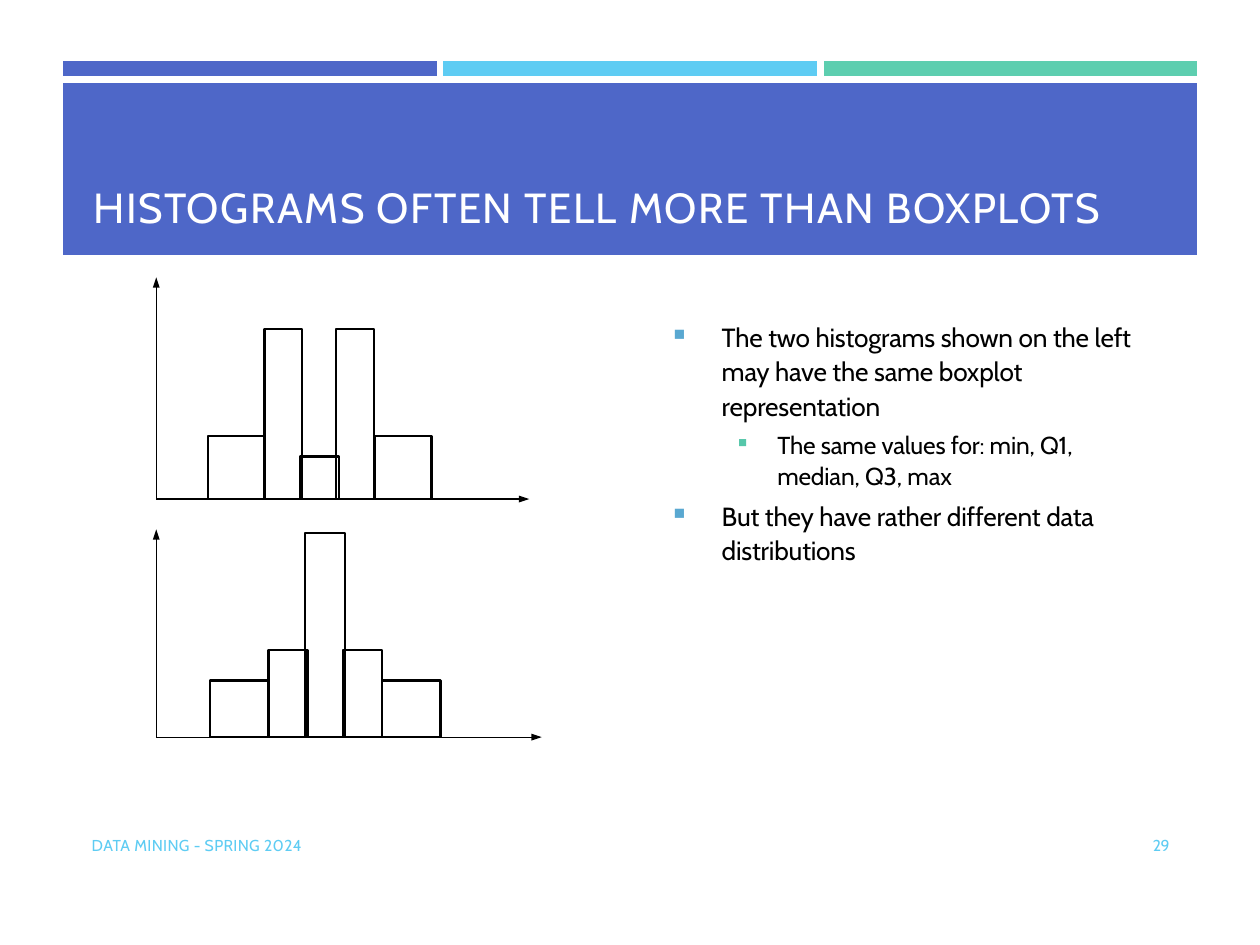
from dataclasses import dataclass

import lxml.etree
import pptx
import pptx.dml.color
import pptx.enum.shapes
import pptx.enum.text
import pptx.oxml.ns
import pptx.util

Cm = pptx.util.Cm
Pt = pptx.util.Pt
qn = pptx.oxml.ns.qn


@dataclass(frozen=True)
class Theme:
    font: str = "Cabin"
    ink: str = "000000"
    paper: str = "FFFFFF"
    indigo: str = "4E67C8"
    sky: str = "5ECCF3"
    mint: str = "5DCEAF"
    bullet: str = "59A8D1"
    sub_bullet: str = "56C7AA"
    title_size: float = 24
    body_size: float = 15
    sub_size: float = 14
    footer_size: float = 9
    gap_width: float = 4.5
    axis_width: float = 0.7
    bar_width: float = 1.35


@dataclass(frozen=True)
class Bar:
    left: float
    width: float
    height: float


@dataclass(frozen=True)
class Histogram:
    top: float
    base: float
    right: float
    bars: tuple[Bar, ...]


@dataclass(frozen=True)
class Point:
    text: str
    level: int
    before: float
    spacing: float


@dataclass(frozen=True)
class BulletStyle:
    margin: float
    indent: float
    color: str
    percent: int
    size: float


THEME = Theme()
AXIS_LEFT = 3.15

HISTOGRAMS = (
    Histogram(5.59, 10.06, 10.67, (
        Bar(4.2, 1.15, 1.27), Bar(5.33, 0.76, 3.43), Bar(6.05, 0.79, 0.86),
        Bar(6.78, 0.76, 3.43), Bar(7.55, 1.15, 1.27))),
    Histogram(10.67, 14.86, 10.92, (
        Bar(4.24, 1.18, 1.14), Bar(5.41, 0.79, 1.75), Bar(6.15, 0.81, 4.12),
        Bar(6.91, 0.79, 1.75), Bar(7.7, 1.18, 1.14))),
)

POINTS = (
    Point("The two histograms shown on the left may have the same boxplot representation", 0, 0, 1.09),
    Point("The same values for: min, Q1, median, Q3, max", 1, 3.6, 1.07),
    Point("But they have rather different data distributions", 0, 3.3, 1.11),
)

BULLETS = (
    BulletStyle(0.99, -0.97, THEME.bullet, 60, THEME.body_size),
    BulletStyle(2.11, -0.79, THEME.sub_bullet, 50, THEME.sub_size),
)


def rgb(color: str) -> pptx.dml.color.RGBColor:
    return pptx.dml.color.RGBColor.from_string(color)


def write(p, text: str, size: float, color: str, tracking: float) -> None:
    r = p.add_run()
    r.text = text
    r._r.get_or_add_rPr().set("spc", str(round(tracking * 100)))
    p.font.name = THEME.font
    p.font.size = Pt(size)
    p.font.color.rgb = rgb(color)


def add_text_box(s, left: float, top: float, width: float, height: float):
    tf = s.shapes.add_textbox(Cm(left), Cm(top), Cm(width), Cm(height)).text_frame
    tf.word_wrap = True
    tf.margin_left = tf.margin_right = tf.margin_top = tf.margin_bottom = 0
    return tf


def style_cell(cell, color: str, edges: str) -> None:
    cell.margin_left = cell.margin_right = cell.margin_top = cell.margin_bottom = 0
    cell.fill.solid()
    cell.fill.fore_color.rgb = rgb(color)
    tc_pr = cell._tc.get_or_add_tcPr()
    for i, edge in enumerate(edges):
        ln = lxml.etree.Element(qn(f"a:ln{edge}"), w=str(Pt(THEME.gap_width)))
        fill = lxml.etree.SubElement(ln, qn("a:solidFill"))
        lxml.etree.SubElement(fill, qn("a:srgbClr"), val=THEME.paper)
        tc_pr.insert(i, ln)
    cell.text_frame.paragraphs[0]._p.get_or_add_endParaRPr().set("sz", "100")


def add_banner(s, title: str) -> None:
    table = s.shapes.add_table(2, 3, Cm(1.25), Cm(1.22), Cm(22.89), Cm(3.94)).table
    for column, width in zip(table.columns, (7.62, 7.67, 7.6)):
        column.width = Cm(width)
    for row, height in zip(table.rows, (0.38, 3.56)):
        row.height = Cm(height)
    strips = ((THEME.indigo, "RB"), (THEME.sky, "LRB"), (THEME.mint, "LB"))
    for i, (color, edges) in enumerate(strips):
        style_cell(table.cell(0, i), color, edges)
        style_cell(table.cell(1, i), THEME.indigo, "T")
    cell = table.cell(1, 0)
    cell.merge(table.cell(1, 2))
    cell.margin_left = Cm(0.63)
    cell.margin_bottom = Cm(0.45)
    cell.vertical_anchor = pptx.enum.text.MSO_ANCHOR.BOTTOM
    write(cell.text_frame.paragraphs[0], title, THEME.title_size, THEME.paper, 0.86)


def add_axis(shapes, x: float, y: float, end_x: float, end_y: float) -> None:
    line = shapes.add_connector(
        pptx.enum.shapes.MSO_CONNECTOR.STRAIGHT, Cm(x), Cm(y), Cm(end_x), Cm(end_y))
    line.line.color.rgb = rgb(THEME.ink)
    line.line.width = Pt(THEME.axis_width)
    lxml.etree.SubElement(
        line.line._get_or_add_ln(), qn("a:tailEnd"), type="triangle", w="sm", len="med")
    lxml.etree.SubElement(line._element.spPr, qn("a:effectLst"))


def add_histogram(s, histogram: Histogram) -> None:
    shapes = s.shapes.add_group_shape().shapes
    base = histogram.base
    add_axis(shapes, AXIS_LEFT, base, histogram.right, base)
    add_axis(shapes, AXIS_LEFT, base, AXIS_LEFT, histogram.top)
    for bar in histogram.bars:
        sp = shapes.add_shape(
            pptx.enum.shapes.MSO_SHAPE.RECTANGLE,
            Cm(bar.left), Cm(base - bar.height), Cm(bar.width), Cm(bar.height))
        sp.shadow.inherit = False
        sp.fill.background()
        sp.line.color.rgb = rgb(THEME.ink)
        sp.line.width = Pt(THEME.bar_width)


def add_points(s, points: tuple[Point, ...]) -> None:
    tf = add_text_box(s, 13.56, 6.42, 9.91, 5.08)
    tf.margin_right = Cm(0.25)
    for i, point in enumerate(points):
        p = tf.paragraphs[0] if i == 0 else tf.add_paragraph()
        style = BULLETS[point.level]
        p.level = point.level
        p.line_spacing = point.spacing
        p.space_before = Pt(point.before)
        p_pr = p._p.get_or_add_pPr()
        p_pr.set("marL", str(Cm(style.margin)))
        p_pr.set("indent", str(Cm(style.indent)))
        color = lxml.etree.SubElement(p_pr, qn("a:buClr"))
        lxml.etree.SubElement(color, qn("a:srgbClr"), val=style.color)
        lxml.etree.SubElement(p_pr, qn("a:buSzPct"), val=str(style.percent * 1000))
        lxml.etree.SubElement(p_pr, qn("a:buChar"), char="■")
        write(p, point.text, style.size, THEME.ink, -0.1)


def add_footer(s, text: str, left: float, width: float, tracking: float) -> None:
    tf = add_text_box(s, left, 16.84, width, 0.42)
    write(tf.paragraphs[0], text, THEME.footer_size, THEME.sky, tracking)


def main() -> None:
    prs = pptx.Presentation()
    prs.slide_width, prs.slide_height = Cm(25.4), Cm(19.05)
    s = prs.slides.add_slide(prs.slide_layouts[6])
    add_banner(s, "HISTOGRAMS OFTEN TELL MORE THAN BOXPLOTS")
    for histogram in HISTOGRAMS:
        add_histogram(s, histogram)
    add_points(s, POINTS)
    add_footer(s, "29", 23.24, 0.5, -0.2)
    add_footer(s, "DATA MINING - SPRING 2024", 1.85, 4.52, 0.2)
    prs.save("out.pptx")


if __name__ == "__main__":
    main()
